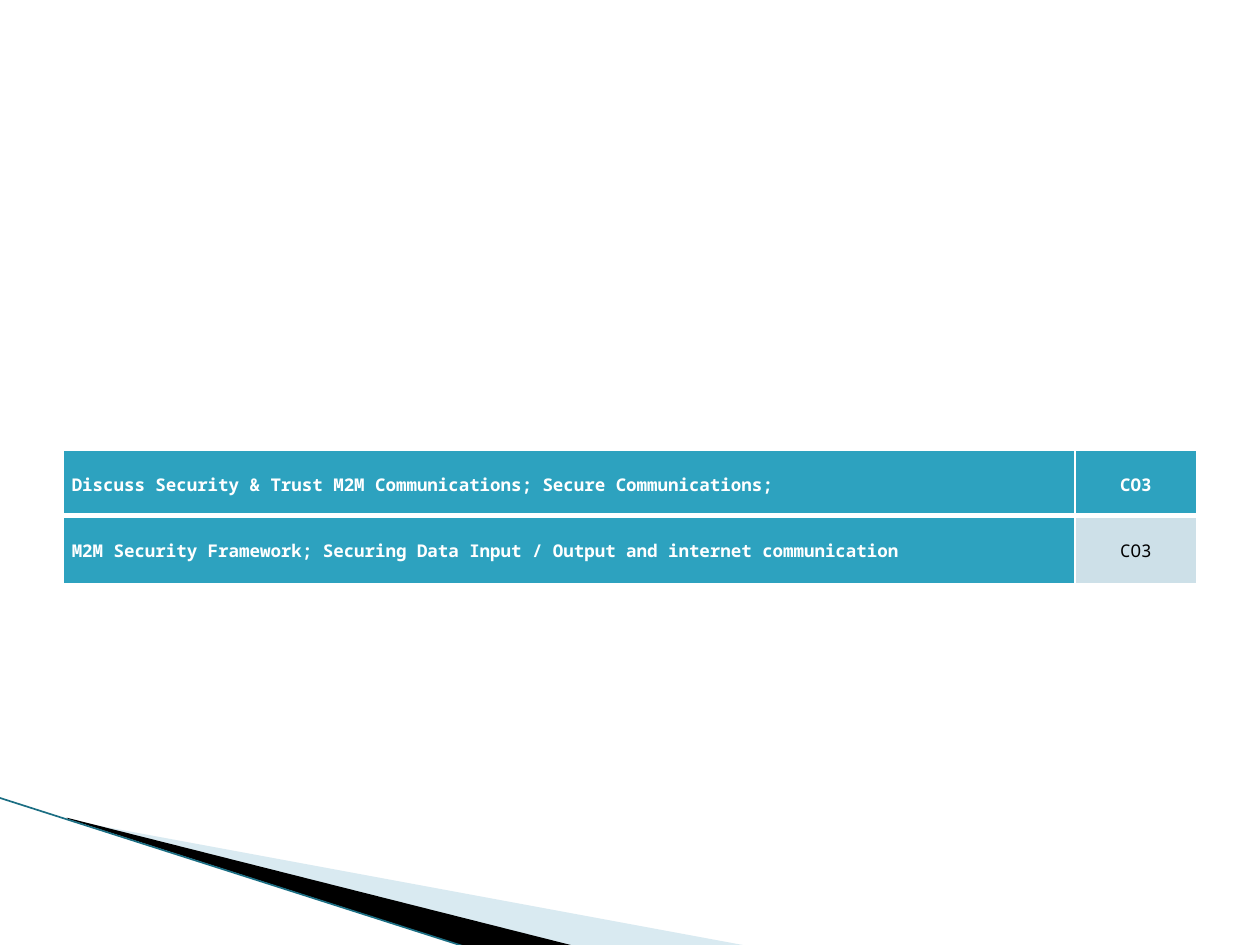
from lxml import etree
from pptx import Presentation
from pptx import util as u
from pptx.dml.color import RGBColor
from pptx.enum import shapes, text
from pptx.oxml import ns

COLORS = {
    "white": "FFFFFF",
    "black": "000000",
    "teal": "2DA2BF",
    "pale": "CDE0E8",
    "wedge": "A0CBDC",
    "edge": "1B6E83",
}
TOPICS = [
    ("Discuss Security & Trust M2M Communications; Secure Communications;", "CO3"),
    ("M2M Security Framework; Securing Data Input / Output and internet communication", "CO3"),
]
COLUMN_WIDTHS = [8.03, 0.97]
ROW_HEIGHTS = [0.52, 0.54]


def rgb(name):
    """Return the palette colour called name."""
    return RGBColor.from_string(COLORS[name])


def set_frame(wedge, frame):
    """Give a freeform the frame in inches and keep its outline in place."""
    left, top, width, height = (u.Inches(v) for v in frame)
    shift_x, shift_y = wedge.left - left, wedge.top - top
    outline = wedge._element.spPr.find(".//" + ns.qn("a:path"))
    outline.set("w", str(width))
    outline.set("h", str(height))
    for point in outline.iter(ns.qn("a:pt")):
        point.set("x", str(int(point.get("x")) + shift_x))
        point.set("y", str(int(point.get("y")) + shift_y))
    wedge.left, wedge.top, wedge.width, wedge.height = left, top, width, height


def add_wedge(slide, points, frame, color, opacity=100):
    """Draw a filled outline through points given in inches."""
    corners = [(u.Inches(x), u.Inches(y)) for x, y in points]
    builder = slide.shapes.build_freeform(*corners[0])
    builder.add_line_segments(corners[1:], close=True)
    wedge = builder.convert_to_shape()
    set_frame(wedge, frame)
    wedge.shadow.inherit = False
    wedge.line.fill.background()
    wedge.fill.solid()
    wedge.fill.fore_color.rgb = rgb(color)
    if opacity < 100:
        tint = wedge.fill._xPr.find(".//" + ns.qn("a:srgbClr"))
        etree.SubElement(tint, ns.qn("a:alpha"), val=str(opacity * 1000))


def add_edge(slide, start, end, color, width):
    """Draw a straight line between two points given in inches."""
    edge = slide.shapes.add_connector(
        shapes.MSO_CONNECTOR.STRAIGHT, *(u.Inches(v) for v in start + end))
    edge.line.color.rgb = rgb(color)
    edge.line.width = u.Pt(width)
    etree.SubElement(edge._element.spPr, ns.qn("a:effectLst"))


def write(frame, words, color="white", bold=True, centered=False, after=0):
    """Put formatted words in a text frame."""
    paragraph = frame.paragraphs[0]
    paragraph.alignment = text.PP_ALIGN.CENTER if centered else text.PP_ALIGN.LEFT
    paragraph.line_spacing = 1.15
    paragraph.space_after = u.Pt(after)
    run = paragraph.add_run()
    run.text = words
    run.font.name = "Noto Sans Mono"
    run.font.size = u.Pt(10)
    run.font.bold = bold
    run.font.color.rgb = rgb(color)


def style_cell(cell, fill, bottom, top):
    """Set the fill, margins and white borders of a cell."""
    cell.margin_left = cell.margin_right = u.Inches(0.07)
    cell.margin_top = cell.margin_bottom = 0
    cell.vertical_anchor = text.MSO_ANCHOR.MIDDLE
    properties = cell._tc.get_or_add_tcPr()
    for side, width in (("L", 1), ("R", 1), ("T", top), ("B", bottom)):
        border = etree.SubElement(properties, ns.qn(f"a:ln{side}"), w=str(u.Pt(width)))
        paint = etree.SubElement(border, ns.qn("a:solidFill"))
        etree.SubElement(paint, ns.qn("a:srgbClr"), val=COLORS["white"])
    cell.fill.solid()
    cell.fill.fore_color.rgb = rgb(fill)


def add_topics(slide):
    """Add the table of topics and course outcomes."""
    table = slide.shapes.add_table(
        len(TOPICS), 2, u.Inches(0.5), u.Inches(3.57),
        u.Inches(sum(COLUMN_WIDTHS)), u.Inches(sum(ROW_HEIGHTS))).table
    for column, width in zip(table.columns, COLUMN_WIDTHS):
        column.width = u.Inches(width)
    for index, (topic, outcome) in enumerate(TOPICS):
        table.rows[index].height = u.Inches(ROW_HEIGHTS[index])
        header = index == 0
        topic_cell, outcome_cell = table.rows[index].cells
        bottom, top = (3, 1) if header else (1, 3)
        style_cell(topic_cell, "teal", bottom, top)
        style_cell(outcome_cell, "teal" if header else "pale", bottom, top)
        write(topic_cell.text_frame, topic, after=10)
        write(outcome_cell.text_frame, outcome, color="white" if header else "black",
              bold=header, centered=True)


def main():
    """Build and save the slide."""
    deck = Presentation()
    deck.slide_width, deck.slide_height = u.Inches(10), u.Inches(7.5)
    slide = deck.slides.add_slide(deck.slide_layouts[6])
    add_wedge(slide, [(0.55, 6.51), (5.95, 7.51), (4.56, 7.51), (0.55, 6.5)],
              (0.78, 5.47, 4.16, 1.58), "wedge", opacity=40)
    add_wedge(slide, [(0.53, 6.49), (4.57, 7.51), (3.72, 7.52), (0.54, 6.5)],
              (-0.06, 6.33, 4.16, 0.92), "black")
    add_edge(slide, (-0.01, 6.33), (3.71, 7.52), "edge", 0.95)
    add_topics(slide)
    deck.save("out.pptx")


if __name__ == "__main__":
    main()
